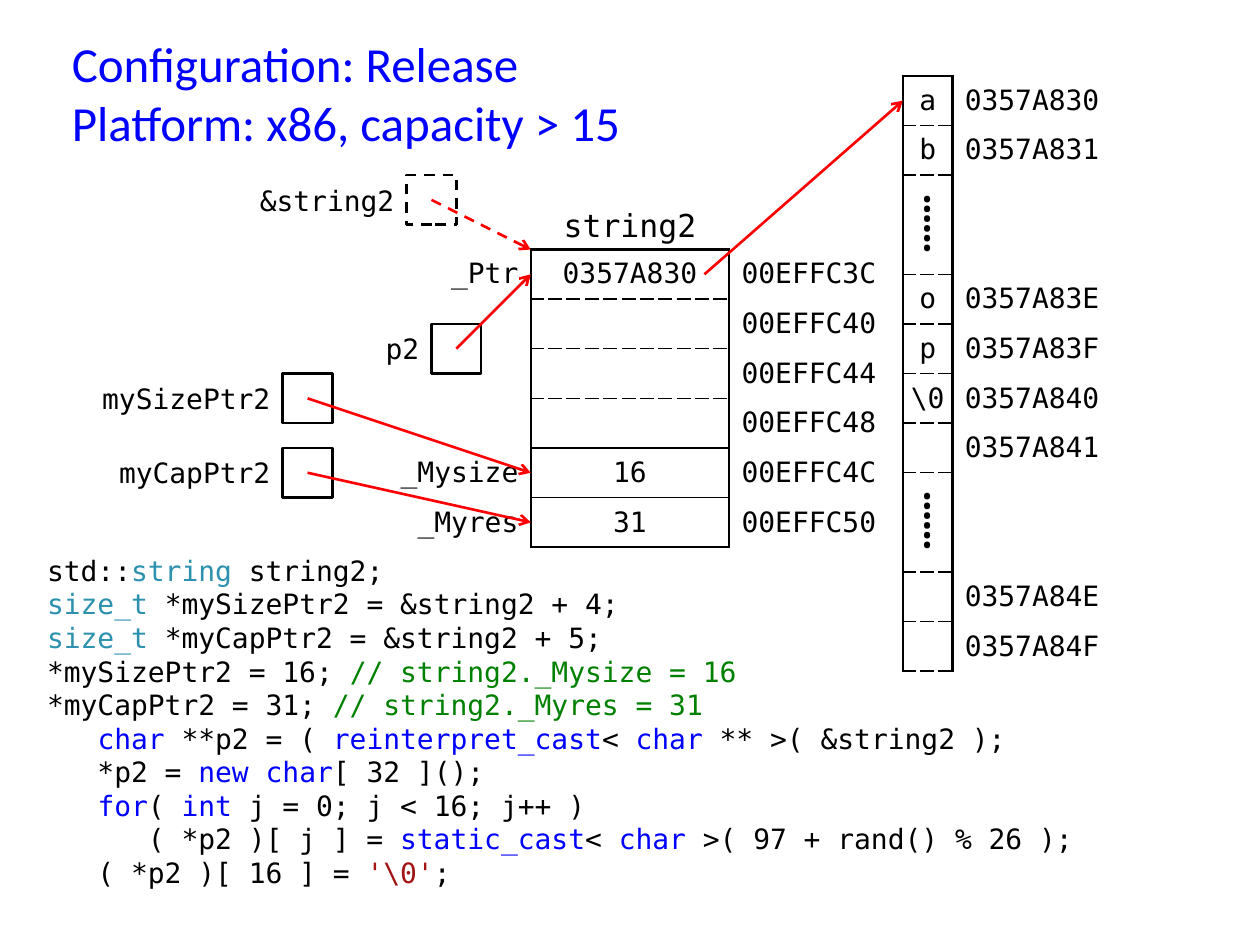
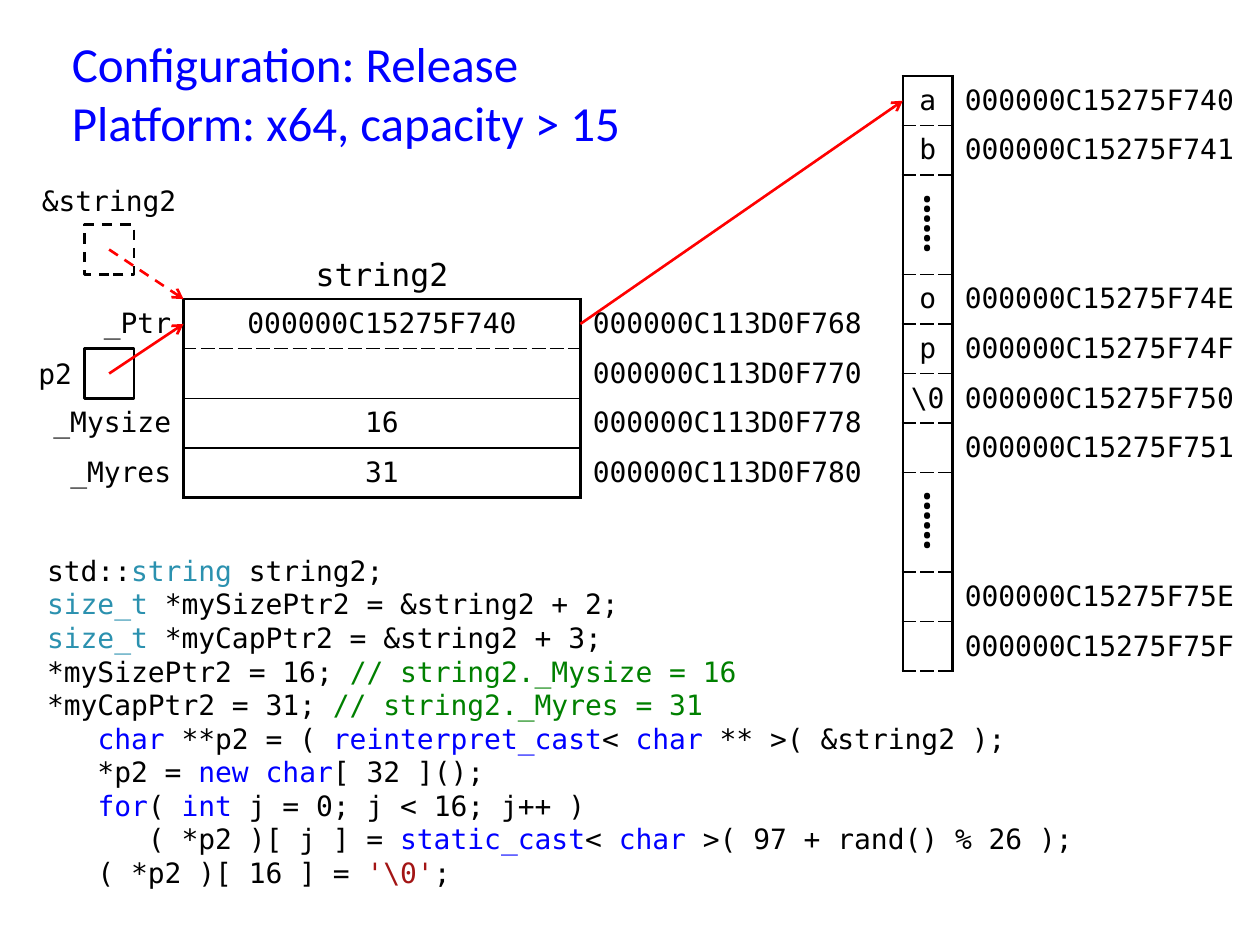
from dataclasses import dataclass

from lxml import etree
from pptx import Presentation
from pptx.dml.color import RGBColor
from pptx.enum.dml import MSO_LINE
from pptx.enum.shapes import MSO_CONNECTOR, MSO_SHAPE
from pptx.enum.text import MSO_ANCHOR, PP_ALIGN
from pptx.oxml.ns import qn
from pptx.util import Cm, Inches, Pt

DASH = MSO_LINE.DASH
RECTANGLE = MSO_SHAPE.RECTANGLE
STRAIGHT = MSO_CONNECTOR.STRAIGHT
TOP, MIDDLE = MSO_ANCHOR.TOP, MSO_ANCHOR.MIDDLE
LEFT, CENTER, RIGHT = PP_ALIGN.LEFT, PP_ALIGN.CENTER, PP_ALIGN.RIGHT

COLORS = {
    "text": "000000",
    "keyword": "0000FF",
    "type": "2B91AF",
    "comment": "008000",
    "literal": "A31515",
    "arrow": "FF0000",
}
MONO, TITLE_FONT, DOTS_FONT = "DejaVu Sans Mono", "Calibri", "Times New Roman"
NO_STYLE = "{2D5ABB26-0587-4C30-8999-92F81FD0307C}"

GRID_LEFT, GRID_TOP = 0.2, 0.53
ARRAY_COLUMN, ARRAY_ROW = 18, 1
DOTS = "⸽"
ARRAY_CELLS = [
    ("a", 0), ("b", 1), (DOTS, None), (None, None),
    ("o", 14), ("p", 15), ("\\0", 16), ("", 17),
    (DOTS, None), (None, None), ("", 30), ("", 31),
]
SOLID, THIN, DASHED = (1.5, "solid"), (1, "solid"), (1, "sysDash")


@dataclass
class Pointer:
    label: str
    label_at: tuple
    label_width: float
    box_at: tuple
    target: tuple
    dashed: bool = False
    align: PP_ALIGN = RIGHT
    side_inset: float = 0.1


@dataclass
class Layout:
    platform: str
    word_bytes: int
    word_count: int
    object_start: int
    array_start: int
    column: float
    row: float
    widths: tuple
    arrow_column: float
    pointers: list

    def address(self, number):
        return f"{number:0{2 * self.word_bytes}X}"

    @property
    def value_column(self):
        return self.column + self.widths[0]


def grid_x(column):
    return Cm(GRID_LEFT + column)


def grid_y(row):
    return Cm(GRID_TOP + row)


def color(name):
    return RGBColor.from_string(COLORS[name])


def format_span(span, size, font=MONO, color_name="text"):
    span.font.size = Pt(size)
    span.font.name = font
    span.font.color.rgb = color(color_name)


def add_text_box(page, column, row, width, height, anchor=MIDDLE, side=0.1, top=0.05):
    box = page.shapes.add_textbox(grid_x(column), grid_y(row), Cm(width), Cm(height))
    frame = box.text_frame
    frame.word_wrap = True
    frame.vertical_anchor = anchor
    frame.margin_left = frame.margin_right = Inches(side)
    frame.margin_top = Inches(top)
    return frame


def add_label(page, text, column, row, width, align, size=16, side=0.1):
    frame = add_text_box(page, column, row, width, 1, side=side)
    frame.text = text
    frame.paragraphs[0].alignment = align
    format_span(frame.paragraphs[0].runs[0], size)


def add_title(page, platform):
    frame = add_text_box(page, 1, 0, 12.5, 2.5, TOP, top=0.06)
    frame.text = f"Configuration: Release\vPlatform: {platform}, capacity > 15"
    for span in frame.paragraphs[0].runs:
        format_span(span, 28, TITLE_FONT, "keyword")


def code_lines(word_count):
    return [
        [("std::", "text"), ("string ", "type"), ("string2;", "text")],
        [("size_t ", "type"), (f"*mySizePtr2 = &string2 + {word_count - 2};", "text")],
        [("size_t ", "type"), (f"*myCapPtr2 = &string2 + {word_count - 1};", "text")],
        [("*mySizePtr2 = 16; ", "text"), ("// string2._Mysize = 16", "comment")],
        [("*myCapPtr2 = 31; ", "text"), ("// string2._Myres = 31", "comment")],
        [("   ", "text"), ("char", "keyword"), (" **p2 = ( ", "text"),
         ("reinterpret_cast", "keyword"), ("< ", "text"), ("char", "keyword"),
         (" ** >( &string2 );", "text")],
        [("   *p2 = ", "text"), ("new char", "keyword"), ("[ 32 ]();", "text")],
        [("   ", "text"), ("for", "keyword"), ("( ", "text"), ("int ", "keyword"),
         ("j = 0; j < 16; j++ )", "text")],
        [("      ( *p2 )[ j ] = ", "text"), ("static_cast", "keyword"), ("< ", "text"),
         ("char", "keyword"), (" >( 97 + rand() % 26 );", "text")],
        [("   ( *p2 )[ 16 ] = ", "text"), ("'\\0'", "literal"), (";", "text")],
    ]


def add_code(page, word_count):
    frame = add_text_box(page, 0.5, 10.5, 24, 7, TOP)
    for index, line in enumerate(code_lines(word_count)):
        para = frame.add_paragraph() if index else frame.paragraphs[0]
        para.line_spacing = Pt(19.2)
        for text, color_name in line:
            span = para.add_run()
            span.text = text
            format_span(span, 16, color_name=color_name)


def add_arrow(page, start, end, dashed=False):
    arrow = page.shapes.add_connector(
        STRAIGHT, grid_x(start[0]), grid_y(start[1]), grid_x(end[0]), grid_y(end[1]))
    arrow.line.color.rgb = color("arrow")
    arrow.line.width = Pt(1.5)
    if dashed:
        arrow.line.dash_style = DASH
    properties = arrow.element.spPr
    etree.SubElement(properties.find(qn("a:ln")), qn("a:tailEnd"), type="arrow")
    etree.SubElement(properties, qn("a:effectLst"))


def add_pointer(page, pointer):
    column, row = pointer.box_at
    add_label(page, pointer.label, *pointer.label_at, pointer.label_width,
              pointer.align, side=pointer.side_inset)
    box = page.shapes.add_shape(RECTANGLE, grid_x(column), grid_y(row), Cm(1), Cm(1))
    box.shadow.inherit = False
    box.fill.background()
    box.line.color.rgb = color("text")
    box.line.width = Pt(1.5)
    if pointer.dashed:
        box.line.dash_style = DASH
    add_arrow(page, (column + 0.5, row + 0.5), pointer.target, pointer.dashed)


def add_plain_table(page, column, row, widths, row_count):
    frame = page.shapes.add_table(row_count, len(widths), grid_x(column), grid_y(row),
                                  Cm(sum(widths)), Cm(row_count))
    table = frame.table
    table.first_row = table.horz_banding = False
    next(frame.element.iter(qn("a:tableStyleId"))).text = NO_STYLE
    for table_column, width in zip(table.columns, widths):
        table_column.width = Cm(width)
    for table_row in table.rows:
        table_row.height = Cm(1)
    return table


def fill_cell(cell, text, align, sides, vertical=0.1, size=16, font=MONO):
    cell.fill.background()
    cell.vertical_anchor = MIDDLE
    cell.margin_left, cell.margin_right = (Cm(side) for side in sides)
    cell.margin_top = cell.margin_bottom = Cm(vertical)
    cell.text = text
    para = cell.text_frame.paragraphs[0]
    para.alignment = align
    for span in para.runs:
        format_span(span, size, font)


def set_borders(cell, **borders):
    properties = cell._tc.get_or_add_tcPr()
    sides = [side for side in "LRTB" if side in borders]
    for index, side in enumerate(sides):
        width, dash = borders[side]
        line = etree.Element(qn(f"a:ln{side}"), w=str(Pt(width)))
        fill = etree.SubElement(line, qn("a:solidFill"))
        etree.SubElement(fill, qn("a:srgbClr"), val=COLORS["text"])
        etree.SubElement(line, qn("a:prstDash"), val=dash)
        properties.insert(index, line)


def add_object_table(page, layout):
    count = layout.word_count
    names = ["_Ptr"] + [""] * (count - 3) + ["_Mysize", "_Myres"]
    values = [layout.address(layout.array_start)] + [""] * (count - 3) + ["16", "31"]
    edges = [SOLID] + [DASHED] * (count - 3) + [THIN, THIN, SOLID]
    table = add_plain_table(page, layout.column, layout.row, layout.widths, count)
    for index, (name, value) in enumerate(zip(names, values)):
        name_cell, value_cell, address_cell = table.rows[index].cells
        address = layout.address(layout.object_start + index * layout.word_bytes)
        fill_cell(name_cell, name, RIGHT, (0.25, 0.25))
        fill_cell(value_cell, value, CENTER, (0.2, 0.2))
        fill_cell(address_cell, address, LEFT, (0.25, 0.2))
        set_borders(name_cell, R=SOLID)
        set_borders(value_cell, L=SOLID, R=SOLID, T=edges[index], B=edges[index + 1])
        set_borders(address_cell, L=SOLID)
    label_column = layout.value_column + layout.widths[1] / 2 - 2
    add_label(page, "string2", label_column, layout.row - 1, 4, CENTER, size=18)


def add_array_table(page, layout):
    widths = (1, layout.widths[2])
    table = add_plain_table(page, ARRAY_COLUMN, ARRAY_ROW, widths, len(ARRAY_CELLS))
    for index, (text, offset) in enumerate(ARRAY_CELLS):
        cell, address_cell = table.rows[index].cells
        address = "" if offset is None else layout.address(layout.array_start + offset)
        fill_cell(address_cell, address, LEFT, (0.25, 0.2))
        set_borders(address_cell, L=SOLID)
        is_dots = text == DOTS
        if is_dots:
            cell.merge(table.cell(index + 1, 0))
        fill_cell(cell, text or "", CENTER, (0, 0), 0,
                  *((28, DOTS_FONT) if is_dots else (16, MONO)))
        edges = {"L": SOLID, "R": SOLID}
        if text is not None:
            edges["T"] = DASHED if index else SOLID
        if not is_dots:
            edges["B"] = DASHED
        set_borders(cell, **edges)


def add_memory_slide(deck, layout):
    page = deck.slides.add_slide(deck.slide_layouts[6])
    add_code(page, layout.word_count)
    add_title(page, layout.platform)
    add_object_table(page, layout)
    add_array_table(page, layout)
    add_arrow(page, (layout.arrow_column, layout.row + 0.5), (ARRAY_COLUMN, ARRAY_ROW + 0.5))
    for pointer in layout.pointers:
        add_pointer(page, pointer)


def main():
    deck = Presentation()
    deck.slide_width, deck.slide_height = Inches(10), Inches(7.5)
    add_memory_slide(deck, Layout(
        "x86", 4, 6, 0x00EFFC3C, 0x0357A830, 7, 4.5, (3.5, 4, 3.5), 14,
        [
            Pointer("&string2", (4.5, 3), 3.5, (8, 3), (10.5, 4.5), dashed=True),
            Pointer("p2", (7, 6), 1.5, (8.5, 6), (10.5, 5)),
            Pointer("mySizePtr2", (1.5, 7), 4, (5.5, 7), (10.5, 9)),
            Pointer("myCapPtr2", (1.5, 8.5), 4, (5.5, 8.5), (10.5, 10)),
        ]))
    add_memory_slide(deck, Layout(
        "x64", 8, 4, 0x000000C113D0F768, 0x000000C15275F740, 0.5, 5.5, (3, 8, 6), 11.5,
        [
            Pointer("p2", (0, 6.5), 1.5, (1.5, 6.5), (3.5, 6)),
            Pointer("&string2", (0.5, 3), 3, (1.5, 4), (3.5, 5.5), True, CENTER, 0),
        ]))
    deck.save("out.pptx")


if __name__ == "__main__":
    main()
